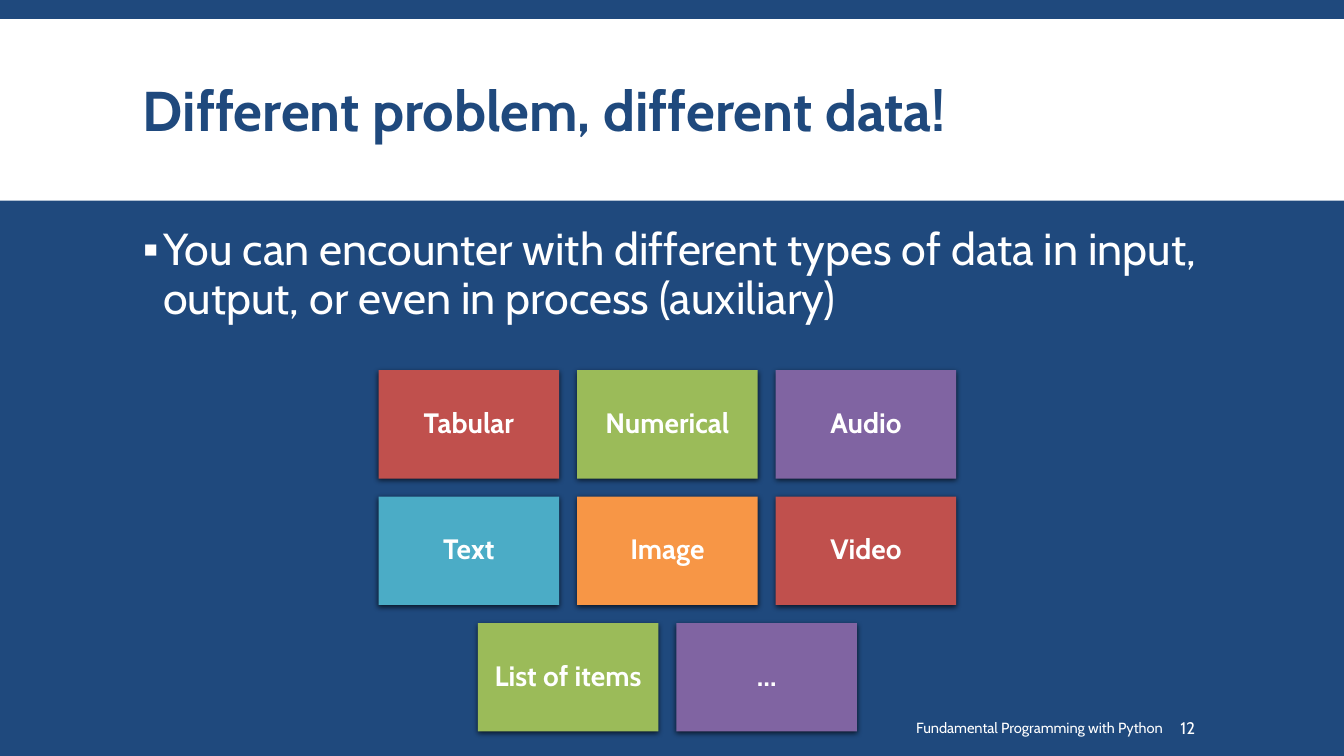
from dataclasses import dataclass

import pptx
import pptx.dml.color
import pptx.enum.shapes
import pptx.enum.text
import pptx.oxml
import pptx.util

Cm, Pt = pptx.util.Cm, pptx.util.Pt
RGB = pptx.dml.color.RGBColor.from_string
ALIGN = pptx.enum.text.PP_ALIGN
ANCHOR = pptx.enum.text.MSO_ANCHOR
RECT = pptx.enum.shapes.MSO_SHAPE.RECTANGLE
NS = 'xmlns:a="http://schemas.openxmlformats.org/drawingml/2006/main"'


@dataclass
class Theme:
    font: str = "Cabin"
    navy: str = "1F497D"
    white: str = "FFFFFF"
    red: str = "C0504D"
    green: str = "9BBB59"
    purple: str = "8064A2"
    teal: str = "4BACC6"
    orange: str = "F79646"
    title: float = 40
    body: float = 32
    card: float = 20
    number: float = 12
    footer: float = 10.5


theme = Theme()


def write(sp, text, size, color=theme.white, bold=False, align=ALIGN.LEFT,
          anchor=ANCHOR.MIDDLE, spacing=1.0, insets=(0.25, 0.13, 0.25, 0.13)):
    tf = sp.text_frame
    tf.word_wrap = True
    tf.vertical_anchor = anchor
    tf.margin_left, tf.margin_top, tf.margin_right, tf.margin_bottom = map(Cm, insets)
    p = tf.paragraphs[0]
    p.alignment = align
    p.line_spacing = spacing
    r = p.add_run()
    r.text = text
    r.font.name = theme.font
    r.font.size = Pt(size)
    r.font.bold = bold
    r.font.color.rgb = RGB(color)
    return p


def add_rect(left, top, width, height, color):
    sp = slide.shapes.add_shape(RECT, Cm(left), Cm(top), Cm(width), Cm(height))
    sp.shadow.inherit = False
    sp.fill.solid()
    sp.fill.fore_color.rgb = RGB(color)
    sp.line.fill.background()
    return sp


prs = pptx.Presentation()
prs.slide_width, prs.slide_height = Cm(33.87), Cm(19.05)
slide = prs.slides.add_slide(prs.slide_layouts[6])
slide.background.fill.solid()
slide.background.fill.fore_color.rgb = RGB(theme.navy)

# Title on its white band
add_rect(0, 0.48, 33.87, 4.58, theme.white)
sp = slide.shapes.add_textbox(Cm(3.35), Cm(0.79), Cm(27.18), Cm(4.19))
write(sp, "Different problem, different data!", theme.title, theme.navy,
      bold=True, spacing=0.85)

# Bullet
sp = slide.shapes.add_textbox(Cm(3.35), Cm(5.59), Cm(27.18), Cm(13.46))
p = write(sp, "You can encounter with different types of data in input, "
          "output, or even in process (auxiliary)", theme.body,
          anchor=ANCHOR.TOP, spacing=0.9)
p.space_before, p.space_after = Pt(12), Pt(2)
pPr = p._p.get_or_add_pPr()
pPr.set("marL", str(Cm(0.51)))
pPr.set("indent", str(Cm(-0.51)))
for xml in (f'<a:buClr {NS}><a:srgbClr val="{theme.white}"/></a:buClr>',
            f'<a:buFont {NS} typeface="Arial"/>',
            f'<a:buChar {NS} char="▪"/>'):
    pPr.append(pptx.oxml.parse_xml(xml))

# Footer and slide number
sp = slide.shapes.add_textbox(Cm(15.54), Cm(17.83), Cm(14.02), Cm(1.02))
write(sp, "Fundamental Programming with Python", theme.footer, align=ALIGN.RIGHT)
sp = slide.shapes.add_textbox(Cm(29.62), Cm(17.83), Cm(2.62), Cm(1.02))
write(sp, "12", theme.number, insets=(0.13, 0.13, 0.25, 0.13))

# Data type cards, each row centred on the same axis
rows = [
    [("Tabular", theme.red), ("Numerical", theme.green), ("Audio", theme.purple)],
    [("Text", theme.teal), ("Image", theme.orange), ("Video", theme.red)],
    [("List of items", theme.green), ("…", theme.purple)],
]
card_w, card_h, gap = 4.55, 2.73, 0.455
center, first_top = 16.82, 9.33
shadow = (f'<a:outerShdw {NS} blurRad="{Pt(4)}" dist="{Pt(1.2)}" dir="5400000" '
          'rotWithShape="0"><a:srgbClr val="000000"><a:alpha val="68000"/>'
          '</a:srgbClr></a:outerShdw>')
for i, row in enumerate(rows):
    left = center - (len(row) * (card_w + gap) - gap) / 2
    top = first_top + i * (card_h + gap)
    for j, (label, color) in enumerate(row):
        sp = add_rect(left + j * (card_w + gap), top, card_w, card_h, color)
        effects = sp._element.spPr.find(pptx.oxml.ns.qn("a:effectLst"))
        effects.append(pptx.oxml.parse_xml(shadow))
        write(sp, label, theme.card, bold=True, align=ALIGN.CENTER,
              spacing=0.9, insets=(0.2, 0.2, 0.2, 0.2))

prs.save("out.pptx")
